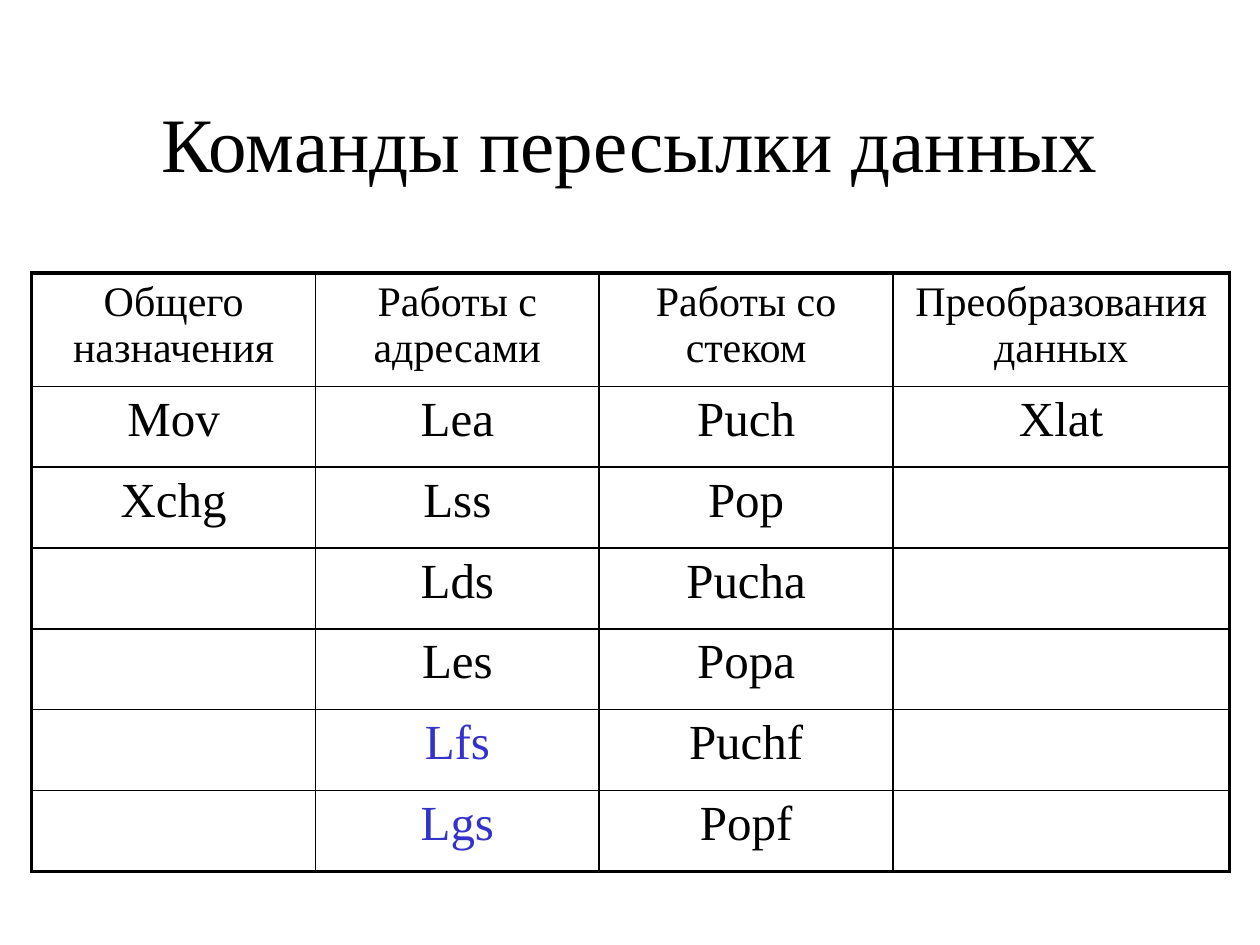
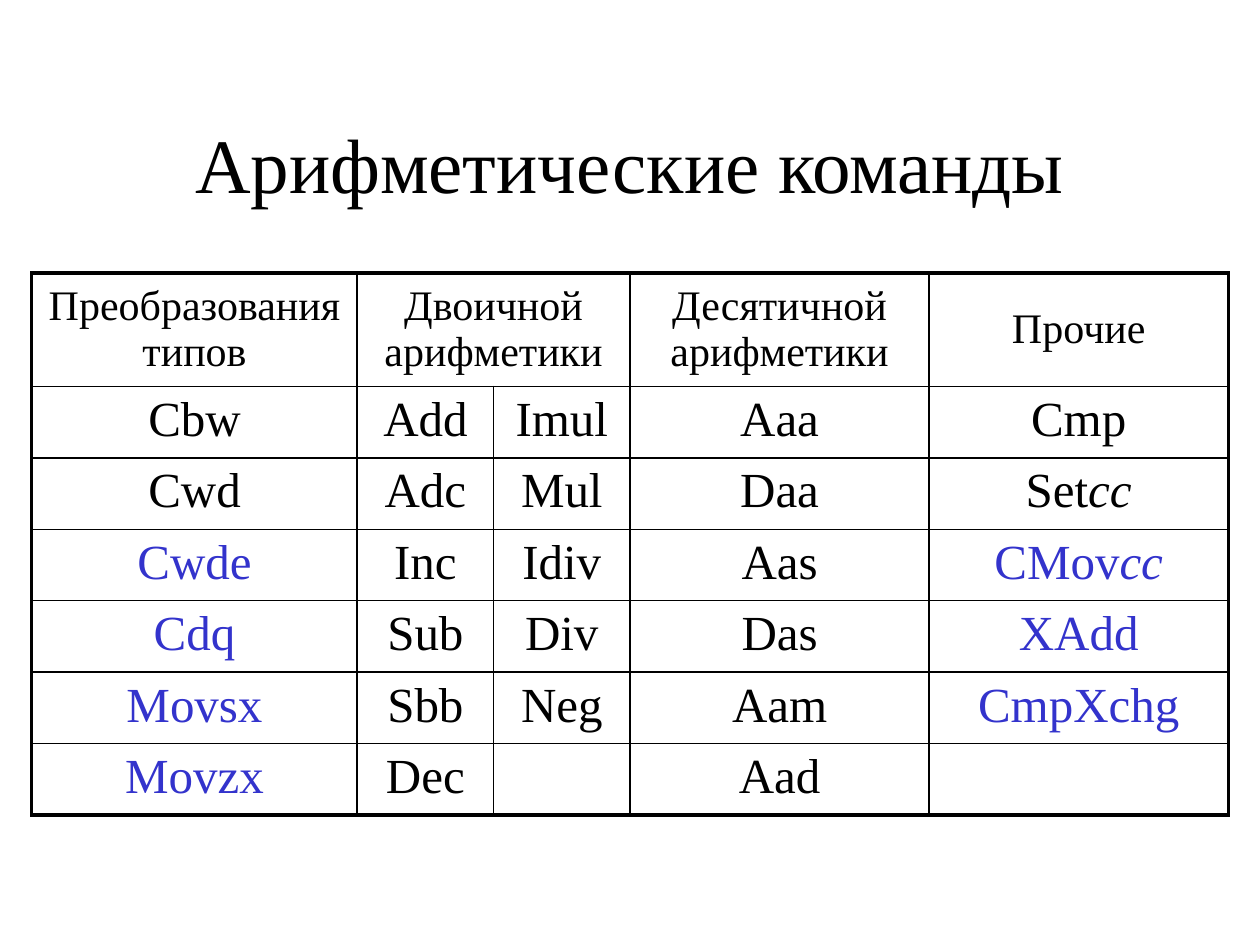
from dataclasses import dataclass

from lxml.etree import SubElement
from pptx import Presentation
from pptx.dml.color import RGBColor
from pptx.enum.text import MSO_ANCHOR, PP_ALIGN
from pptx.oxml.ns import qn
from pptx.util import Cm, Pt

BLACK = RGBColor(0x00, 0x00, 0x00)
WHITE = RGBColor(0xFF, 0xFF, 0xFF)
BLUE = RGBColor(0x33, 0x33, 0xCC)
FONT = "Times New Roman"
TITLE_SIZE, HEADER_SIZE, COMMAND_SIZE = 44, 24, 28
OUTER_LINE, INNER_LINE = 2.25, 1
HEADER_HEIGHT = 2.13
SUFFIX = "cc"  # condition code, set in italics


@dataclass
class CommandSlide:
    title: str
    title_top: float
    widths: list[float]
    row_height: float
    header: list[str]  # an empty heading joins the one on its left
    header_anchor: MSO_ANCHOR
    rows: list[list[str]]
    blue: set[str]


SLIDES = [
    CommandSlide(
        title="Команды пересылки данных",
        title_top=1.27,
        widths=[5.72, 5.72, 5.92, 6.78],
        row_height=1.63,
        header=["Общего назначения", "Работы с адресами",
                "Работы со стеком", "Преобразования данных"],
        header_anchor=MSO_ANCHOR.TOP,
        rows=[
            ["Mov", "Lea", "Puch", "Xlat"],
            ["Xchg", "Lss", "Pop", ""],
            ["", "Lds", "Pucha", ""],
            ["", "Les", "Popa", ""],
            ["", "Lfs", "Puchf", ""],
            ["", "Lgs", "Popf", ""],
        ],
        blue={"Lfs", "Lgs"},
    ),
    CommandSlide(
        title="Арифметические команды",
        title_top=1.69,
        widths=[6.56, 2.75, 2.75, 6.03, 6.03],
        row_height=1.35,
        header=["Преобразования типов", "Двоичной арифметики", "",
                "Десятичной арифметики", "Прочие"],
        header_anchor=MSO_ANCHOR.MIDDLE,
        rows=[
            ["Cbw", "Add", "Imul", "Aaa", "Cmp"],
            ["Cwd", "Adc", "Mul", "Daa", "Setcc"],
            ["Cwde", "Inc", "Idiv", "Aas", "CMovcc"],
            ["Cdq", "Sub", "Div", "Das", "XAdd"],
            ["Movsx", "Sbb", "Neg", "Aam", "CmpXchg"],
            ["Movzx", "Dec", "", "Aad", ""],
        ],
        blue={"Cwde", "Cdq", "Movsx", "Movzx", "CMovcc", "XAdd", "CmpXchg"},
    ),
]


def add_text(tf, text: str, *, size: float, color: RGBColor = BLACK,
             italic: bool = False) -> None:
    """Append a centred run to the first paragraph."""
    p = tf.paragraphs[0]
    p.alignment = PP_ALIGN.CENTER
    r = p.add_run()
    r.text = text
    r.font.name = FONT
    r.font.size = Pt(size)
    r.font.color.rgb = color
    r.font.italic = italic


def set_borders(cell, **widths: float) -> None:
    """Draw black cell borders; the keys are L, R, T and B, in this order."""
    tc_pr = cell._tc.get_or_add_tcPr()
    for side, width in widths.items():
        ln = SubElement(tc_pr, qn(f"a:ln{side}"), w=str(Pt(width)))
        fill = SubElement(ln, qn("a:solidFill"))
        SubElement(fill, qn("a:srgbClr"), val=str(BLACK))


def add_title(slide, text: str, top: float) -> None:
    sp = slide.shapes.add_textbox(Cm(1.9), Cm(top), Cm(21.6), Cm(3.18))
    tf = sp.text_frame
    tf.word_wrap = True
    tf.vertical_anchor = MSO_ANCHOR.MIDDLE
    add_text(tf, text, size=TITLE_SIZE)


def add_command(cell, name: str, color: RGBColor) -> None:
    stem = name.removesuffix(SUFFIX)
    add_text(cell.text_frame, stem, size=COMMAND_SIZE, color=color)
    if stem != name:
        add_text(cell.text_frame, SUFFIX, size=COMMAND_SIZE, color=color, italic=True)


def add_command_table(slide, spec_: CommandSlide) -> None:
    n_rows, n_cols = len(spec_.rows) + 1, len(spec_.widths)
    height = HEADER_HEIGHT + spec_.row_height * len(spec_.rows)
    table = slide.shapes.add_table(n_rows, n_cols, Cm(0.64), Cm(5.5),
                                   Cm(sum(spec_.widths)), Cm(height)).table
    table.first_row = table.horz_banding = False
    for column, width in zip(table.columns, spec_.widths):
        column.width = Cm(width)
    for i, row in enumerate(table.rows):
        row.height = Cm(spec_.row_height if i else HEADER_HEIGHT)

    # Frame and background
    def line(is_outer: bool) -> float:
        return OUTER_LINE if is_outer else INNER_LINE

    for i in range(n_rows):
        for j in range(n_cols):
            cell = table.cell(i, j)
            set_borders(cell, L=line(j == 0), R=line(j == n_cols - 1),
                        T=line(i == 0), B=line(i == n_rows - 1))
            cell.fill.solid()
            cell.fill.fore_color.rgb = WHITE

    # Headings
    for j, heading in enumerate(spec_.header):
        cell = table.cell(0, j)
        cell.vertical_anchor = spec_.header_anchor
        if heading:
            add_text(cell.text_frame, heading, size=HEADER_SIZE)
        else:
            table.cell(0, j - 1).merge(cell)

    # Commands
    for i, names in enumerate(spec_.rows, start=1):
        for j, name in enumerate(names):
            if name:
                add_command(table.cell(i, j), name, BLUE if name in spec_.blue else BLACK)


def main() -> None:
    prs = Presentation()
    prs.slide_width, prs.slide_height = Cm(25.4), Cm(19.05)
    for content in SLIDES:
        slide = prs.slides.add_slide(prs.slide_layouts[6])
        add_title(slide, content.title, content.title_top)
        add_command_table(slide, content)
    prs.save("out.pptx")


if __name__ == "__main__":
    main()
